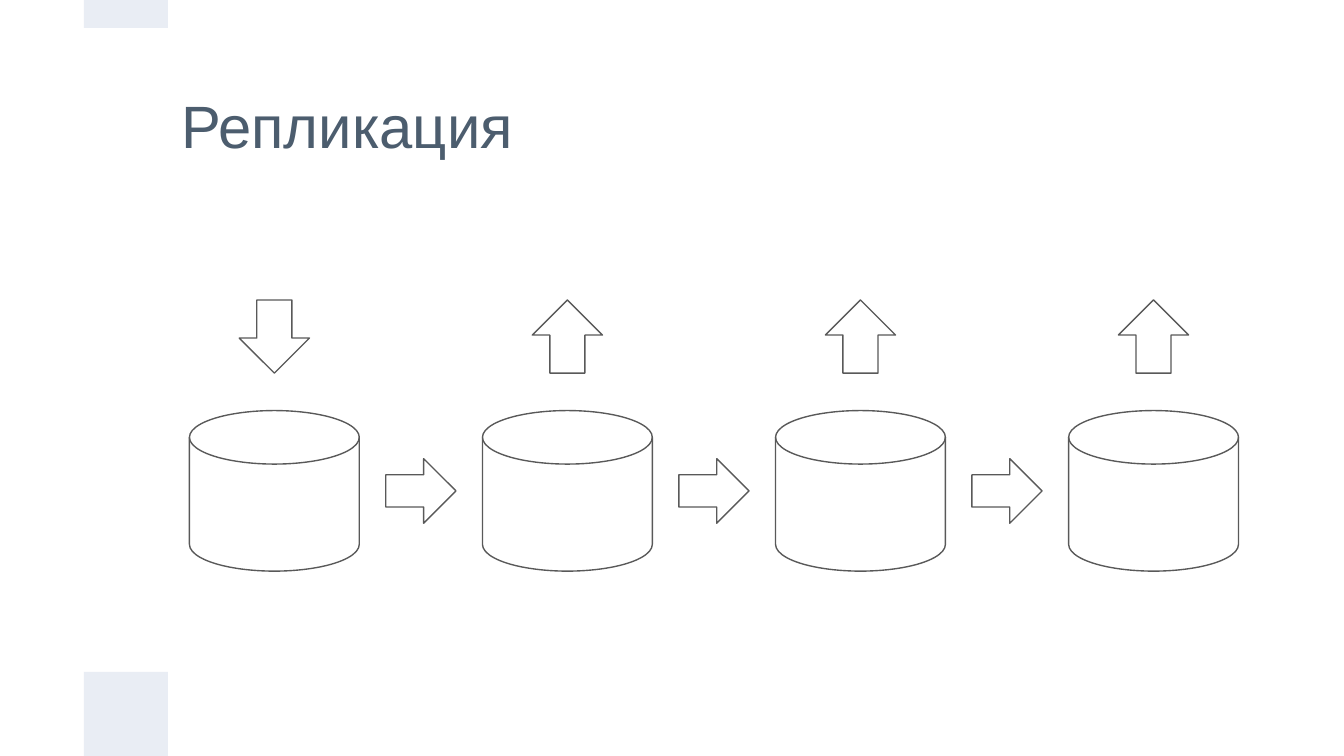
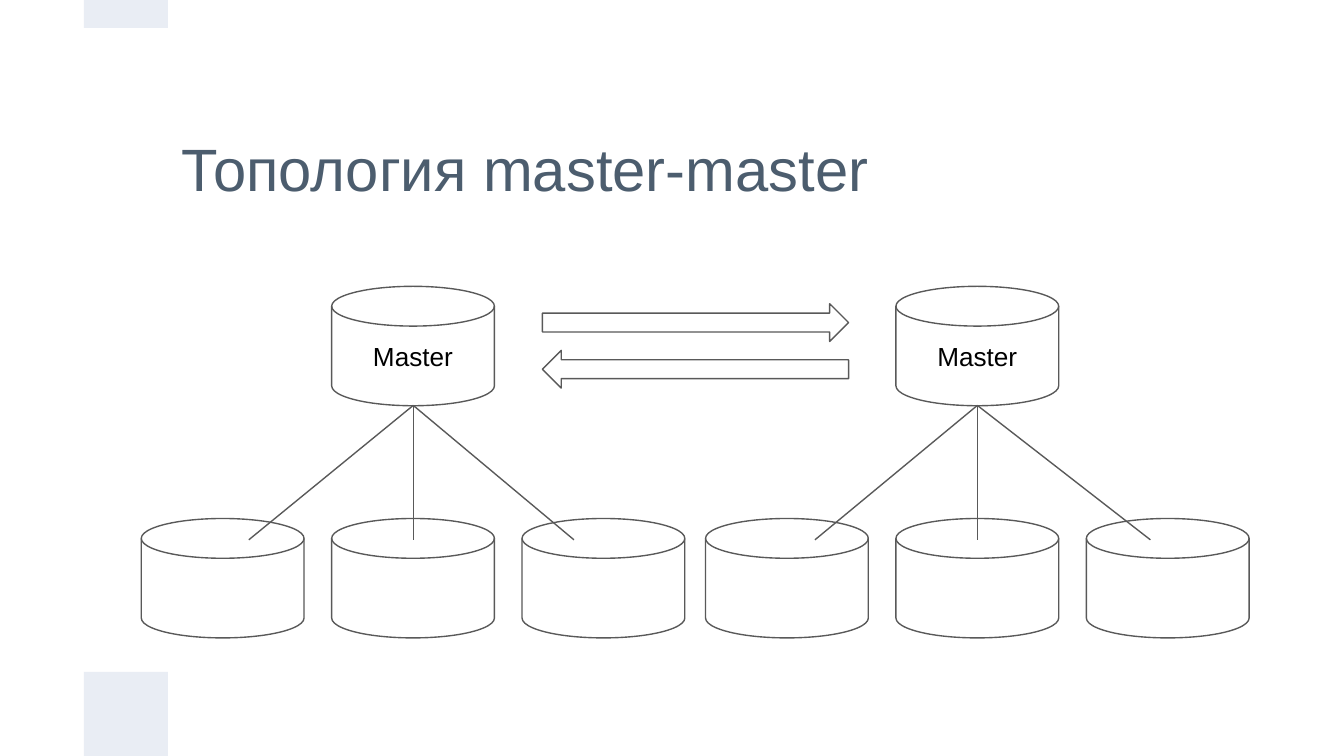
from dataclasses import dataclass

from lxml import etree
from pptx import Presentation
from pptx.dml.color import RGBColor
from pptx.enum.shapes import MSO_CONNECTOR, MSO_SHAPE
from pptx.enum.text import MSO_ANCHOR, PP_ALIGN
from pptx.oxml.ns import qn
from pptx.slide import Slide
from pptx.text.text import TextFrame
from pptx.util import Pt

RECT = MSO_SHAPE.RECTANGLE
DISK = MSO_SHAPE.FLOWCHART_MAGNETIC_DISK
RIGHT = MSO_SHAPE.RIGHT_ARROW
LEFT = MSO_SHAPE.LEFT_ARROW
UP = MSO_SHAPE.UP_ARROW
DOWN = MSO_SHAPE.DOWN_ARROW
LINE = MSO_CONNECTOR.STRAIGHT
MIDDLE = MSO_ANCHOR.MIDDLE
START = PP_ALIGN.LEFT
CENTER = PP_ALIGN.CENTER

COLORS = {"title": "4C5D6E", "band": "E9EDF4", "line": "595959", "text": "000000"}
FONT = "Arial"
STROKE = 0.75
INSET = 7.2


@dataclass(frozen=True)
class Box:
    x: float
    y: float
    w: float
    h: float


@dataclass(frozen=True)
class Group:
    x: float
    hub: float
    low: float
    high: float


BANDS = (Box(45, 360, 45, 45), Box(45, 0, 45, 15))


def color(name: str) -> RGBColor:
    return RGBColor.from_string(COLORS[name])


def write(frame: TextFrame, text: str, size: float, tint: str, align: PP_ALIGN) -> None:
    frame.word_wrap = True
    frame.vertical_anchor = MIDDLE
    frame.margin_left = frame.margin_right = Pt(INSET)
    frame.margin_top = frame.margin_bottom = Pt(INSET)
    line = frame.paragraphs[0]
    line.alignment = align
    run = line.add_run()
    run.text = text
    run.font.size = Pt(size)
    run.font.name = FONT
    run.font.color.rgb = color(tint)


def draw(slide: Slide, kind: MSO_SHAPE, box: Box, fill: str = "", label: str = "") -> None:
    shape = slide.shapes.add_shape(kind, Pt(box.x), Pt(box.y), Pt(box.w), Pt(box.h))
    shape.shadow.inherit = False
    if fill:
        shape.fill.solid()
        shape.fill.fore_color.rgb = color(fill)
        shape.line.fill.background()
    else:
        shape.fill.background()
        shape.line.color.rgb = color("line")
        shape.line.width = Pt(STROKE)
    if label:
        write(shape.text_frame, label, 14, "text", CENTER)


def link(slide: Slide, x1: float, y1: float, x2: float, y2: float) -> None:
    line = slide.shapes.add_connector(LINE, Pt(x1), Pt(y1), Pt(x2), Pt(y2))
    line.line.color.rgb = color("line")
    line.line.width = Pt(STROKE)
    etree.SubElement(line._element.spPr, qn("a:effectLst"))


def start(deck: Presentation, title: str, top: float, height: float) -> Slide:
    slide = deck.slides.add_slide(deck.slide_layouts[6])
    box = slide.shapes.add_textbox(Pt(90), Pt(top), Pt(540), Pt(height))
    write(box.text_frame, title, 32, "title", START)
    for band in BANDS:
        draw(slide, RECT, band, "band")
    return slide


def chain(deck: Presentation) -> None:
    slide = start(deck, "Репликация", 33.5, 67)
    count, step = 4, 157
    for i in range(count):
        x = 101.5 + i * step
        draw(slide, DISK, Box(x, 220, 91, 86))
        draw(slide, UP if i else DOWN, Box(x + 26.7, 160.7, 37.6, 39.2))
        if i < count - 1:
            draw(slide, RIGHT, Box(x + 105.2, 245.7, 37.6, 34.6))


def masters(deck: Presentation) -> None:
    slide = start(deck, "Топология master-master", 45, 90)
    draw(slide, RIGHT, Box(290.6, 162.7, 164, 20.2))
    draw(slide, LEFT, Box(290.6, 187.7, 164, 20.2))
    step, wide, high = 102, 87.2, 64
    hub_y, end_y = 217.2, 289.2
    for group in (Group(75.7, 221.4, 133.3, 307.5), Group(378, 523.6, 436.6, 616.3)):
        for i in range(3):
            draw(slide, DISK, Box(group.x + i * step, 277.8, wide, high))
        draw(slide, DISK, Box(group.x + step, 153.4, wide, high), label="Master")
        for end in (group.low, group.hub, group.high):
            link(slide, group.hub, hub_y, end, end_y)


def main() -> None:
    deck = Presentation()
    deck.slide_width, deck.slide_height = Pt(720), Pt(405)
    chain(deck)
    masters(deck)
    deck.save("out.pptx")


main()
